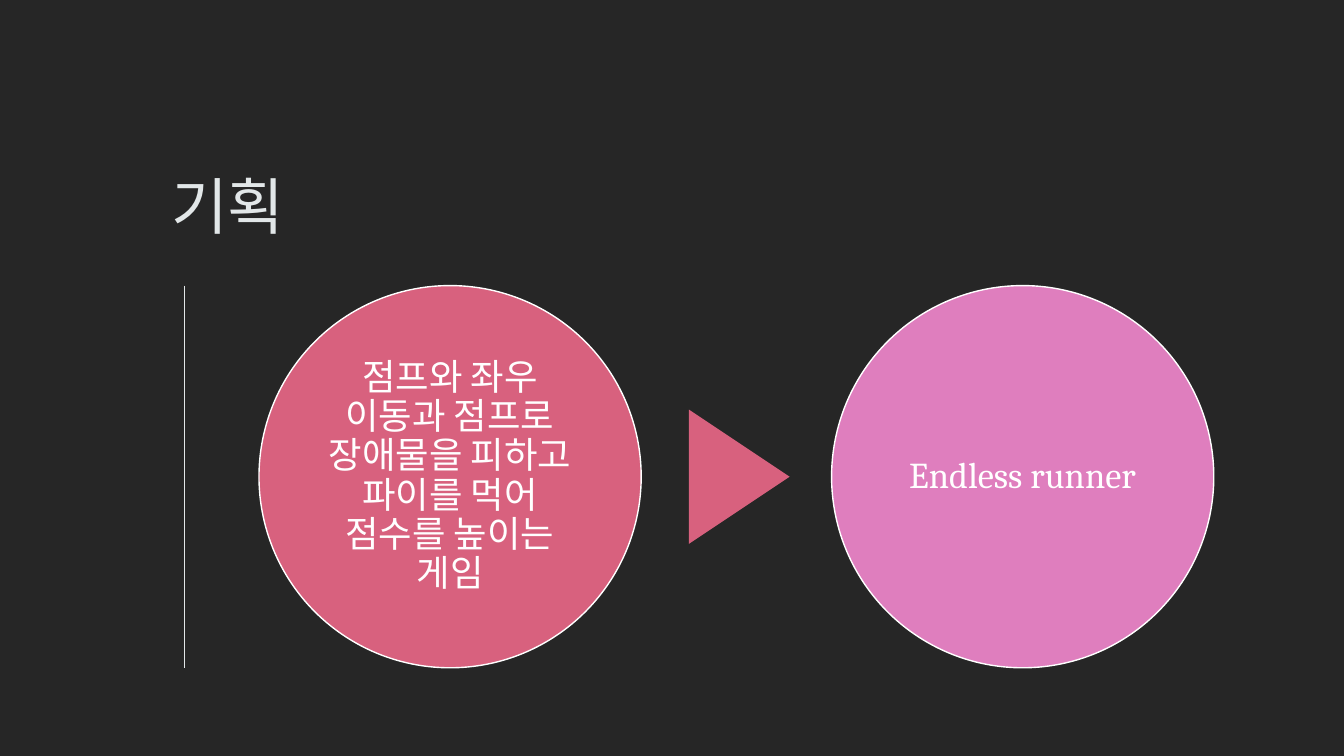
from pptx import Presentation
from pptx import util as u
from pptx.dml.color import RGBColor
from pptx.enum import shapes, text
from pptx.oxml.ns import qn
from lxml import etree

HUES = {"back": "262626", "pale": "E2E7E8", "white": "FFFFFF",
        "rose": "D8617E", "pink": "DF7EBE"}
FACE = "Cambria"
TOP, SIZE = 204, 273  # shared by the rule and both circles


def hue(name):
    return RGBColor.from_string(HUES[name])


def apply(item, form):
    for key, val in form.items():
        setattr(item, key, val)


class Deck:
    def __init__(self):
        self.prs = Presentation()
        apply(self.prs, {"slide_width": u.Pt(960), "slide_height": u.Pt(540)})
        self.slide = self.prs.slides.add_slide(self.prs.slide_layouts[5])
        fill = self.slide.background.fill
        fill.solid()
        fill.fore_color.rgb = hue("back")

    def label(self, shape, words, size, color, frame, para):
        box = shape.text_frame
        box.text = words
        apply(box, {"word_wrap": True, "auto_size": text.MSO_AUTO_SIZE.NONE, **frame})
        line = box.paragraphs[0]
        apply(line, {"line_spacing": 0.9, **para})
        apply(line.font, {"name": FACE, "size": u.Pt(size)})
        line.font.color.rgb = hue(color)

    def title(self, words, left, top, width, height):
        head = self.slide.shapes.title
        apply(head, {"left": u.Pt(left), "top": u.Pt(top),
                     "width": u.Pt(width), "height": u.Pt(height)})
        self.label(head, words, 44, "pale",
                   {"vertical_anchor": text.MSO_ANCHOR.BOTTOM},
                   {"alignment": text.PP_ALIGN.LEFT})

    def rule(self, x, top, end):
        line = self.slide.shapes.add_connector(
            shapes.MSO_CONNECTOR.STRAIGHT, u.Pt(x), u.Pt(top), u.Pt(x), u.Pt(end))
        line.line.width = u.Pt(0.85)
        line.line.color.rgb = hue("pale")
        etree.SubElement(line._element.spPr, qn("a:effectLst"))

    def shape(self, kind, left, top, width, height, color):
        item = self.slide.shapes.add_shape(
            kind, u.Pt(left), u.Pt(top), u.Pt(width), u.Pt(height))
        item.shadow.inherit = False
        item.fill.solid()
        item.fill.fore_color.rgb = hue(color)
        item.line.fill.background()
        return item

    def circle(self, words, left, color):
        disc = self.shape(shapes.MSO_SHAPE.OVAL, left, TOP, SIZE, SIZE, color)
        disc.line.color.rgb = hue("white")
        disc.line.width = u.Pt(1)
        sides = ("left", "top", "right", "bottom")
        frame = {f"margin_{side}": u.Pt(3) for side in sides}
        frame["vertical_anchor"] = text.MSO_ANCHOR.MIDDLE
        self.label(disc, words, 26, "white", frame,
                   {"alignment": text.PP_ALIGN.CENTER})

    def arrow(self, left, top, width, height, color):
        """Draw a triangle turned to point right."""
        mark = self.shape(shapes.MSO_SHAPE.ISOSCELES_TRIANGLE,
                          left, top, width, height, color)
        mark.rotation = 90


def main():
    deck = Deck()
    deck.title("기획", 115, 69, 599, 108)
    deck.rule(132, TOP, TOP + SIZE)
    deck.circle("점프와 좌우 이동과 점프로 장애물을 피하고 파이를 먹어 점수를 높이는 게임",
                185, "rose")
    deck.arrow(480, 304.5, 96, 72, "rose")
    deck.circle("Endless runner", 594, "pink")
    deck.prs.save("out.pptx")


if __name__ == "__main__":
    main()
